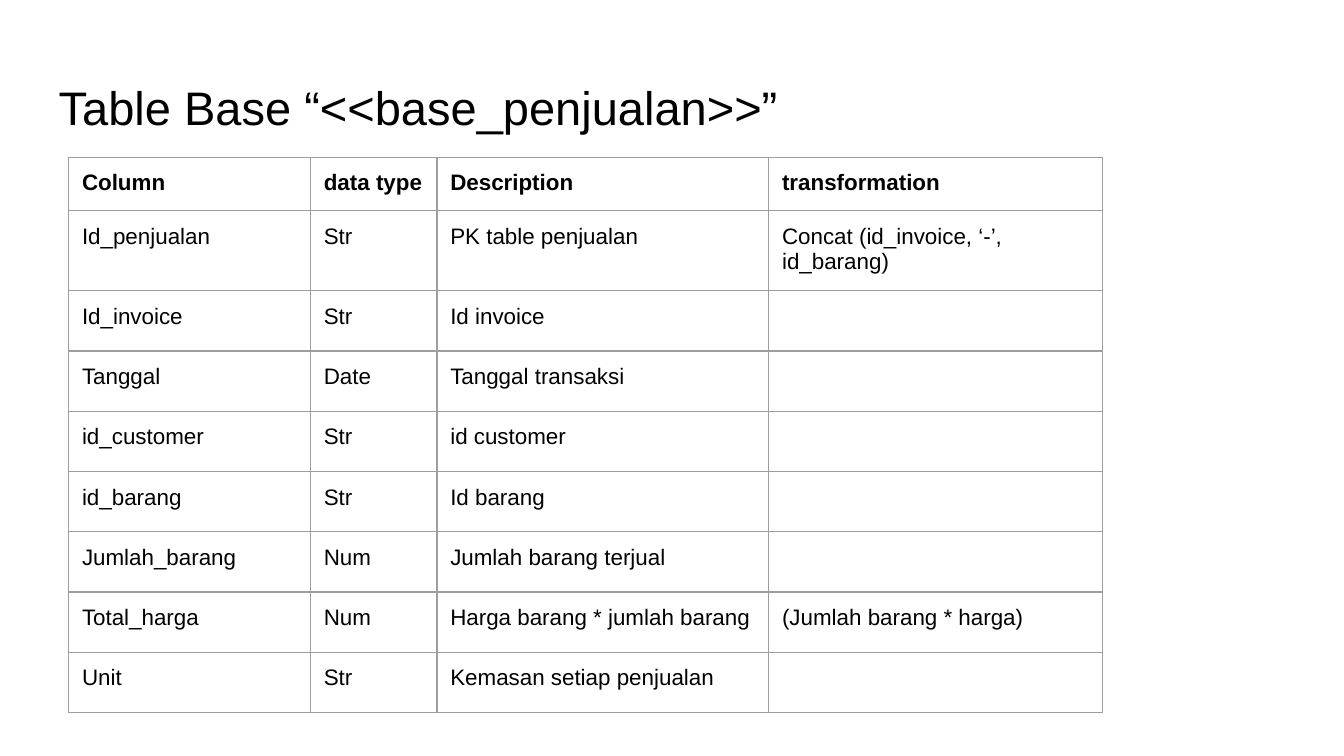
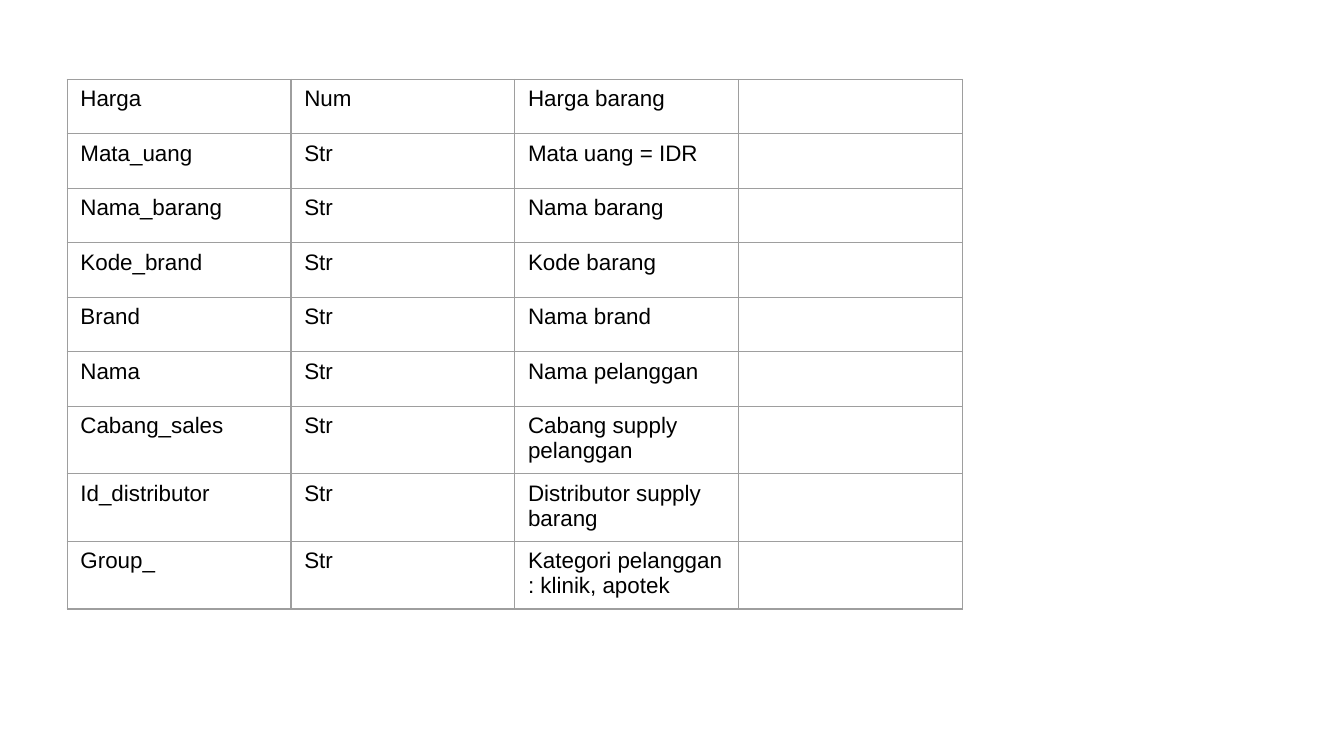
from lxml.etree import SubElement
from pptx import Presentation
from pptx.dml.color import RGBColor as RGB
from pptx.enum.text import MSO_ANCHOR as Anchor
from pptx.oxml import parse_xml
from pptx.oxml.ns import nsdecls, qn
from pptx.util import Cm, Pt

# Content: rows of column, data type, description, transformation
TITLE = "Table Base “<<base_penjualan>>”"
HEADER = ("Column", "data type", "Description", "transformation")
SALES_ROWS = [
    ("Id_penjualan", "Str", "PK table penjualan", "Concat (id_invoice, ‘-’, id_barang)"),
    ("Id_invoice", "Str", "Id invoice", ""),
    ("Tanggal", "Date", "Tanggal transaksi", ""),
    ("id_customer", "Str", "id customer", ""),
    ("id_barang", "Str", "Id barang", ""),
    ("Jumlah_barang", "Num", "Jumlah barang terjual", ""),
    ("Total_harga", "Num", "Harga barang * jumlah barang", "(Jumlah barang * harga)"),
    ("Unit", "Str", "Kemasan setiap penjualan", ""),
]
PRODUCT_ROWS = [
    ("Harga", "Num", "Harga barang", ""),
    ("Mata_uang", "Str", "Mata uang = IDR", ""),
    ("Nama_barang", "Str", "Nama barang", ""),
    ("Kode_brand", "Str", "Kode barang", ""),
    ("Brand", "Str", "Nama brand", ""),
    ("Nama", "Str", "Nama pelanggan", ""),
    ("Cabang_sales", "Str", "Cabang supply pelanggan", ""),
    ("Id_distributor", "Str", "Distributor supply barang", ""),
    ("Group_", "Str", "Kategori pelanggan : klinik, apotek", ""),
]

# Shared style
COLORS = {"text": "000000", "border": "9E9E9E"}
FONT = "Arial"
CELL_SIZE = Pt(12)
BORDER = Pt(0.75)
PAD = Cm(0.25)


def style_run(r, size, bold=False):
    r.font.name, r.font.size, r.font.bold = FONT, size, bold
    r.font.color.rgb = RGB.from_string(COLORS["text"])


def add_title(s, text):
    tf = s.shapes.add_textbox(Cm(0.86), Cm(1.24), Cm(23.67), Cm(1.6)).text_frame
    tf.word_wrap = True
    tf.vertical_anchor = Anchor.TOP
    tf.margin_left = tf.margin_right = tf.margin_top = tf.margin_bottom = PAD
    tf.text = text
    style_run(tf.paragraphs[0].runs[0], Pt(25.2))


def add_borders(cell):
    tc_pr = cell._tc.get_or_add_tcPr()
    for i, side in enumerate(("lnL", "lnR", "lnT", "lnB")):
        tc_pr.insert(i, parse_xml(
            f'<a:{side} {nsdecls("a")} w="{BORDER}"><a:solidFill>'
            f'<a:srgbClr val="{COLORS["border"]}"/></a:solidFill></a:{side}>'))


def fill_cell(cell, text, pad_y, bold):
    cell.fill.background()
    add_borders(cell)
    cell.margin_left = cell.margin_right = PAD
    cell.margin_top = cell.margin_bottom = pad_y
    p = cell.text_frame.paragraphs[0]
    if text:
        p.text = text
        style_run(p.runs[0], CELL_SIZE, bold)
    else:
        # Keeps an empty cell from stretching its row
        SubElement(p._p, qn("a:endParaRPr"), sz=str(int(CELL_SIZE.pt * 100)))


def add_table(s, left, top, widths, rows, row_height, pad_y, header=None):
    lines = ([header] if header else []) + rows
    table = s.shapes.add_table(len(lines), len(widths), left, top,
                               sum(widths), row_height * len(lines)).table
    table.first_row = table.horz_banding = False
    for column, width in zip(table.columns, widths):
        column.width = width
    for i, line in enumerate(lines):
        is_header = line is header
        table.rows[i].height = Cm(0.91) if is_header else row_height
        for j, text in enumerate(line):
            fill_cell(table.cell(i, j), text, pad_y, is_header)


def main():
    prs = Presentation()
    prs.slide_width, prs.slide_height = Cm(25.4), Cm(14.29)
    blank = prs.slide_layouts[6]

    # Slide 1: title and first half of the columns
    s = prs.slides.add_slide(blank)
    add_title(s, TITLE)
    add_table(s, Cm(1.3), Cm(2.97), [Cm(w) for w in (4.57, 2.39, 6.27, 6.3)],
              SALES_ROWS, Cm(1.14), PAD, HEADER)

    # Slide 2: remaining columns
    s = prs.slides.add_slide(blank)
    add_table(s, Cm(1.27), Cm(1.5), [Cm(4.23)] * 4,
              PRODUCT_ROWS, Cm(1.03), Cm(0.13))

    prs.save("out.pptx")


if __name__ == "__main__":
    main()
